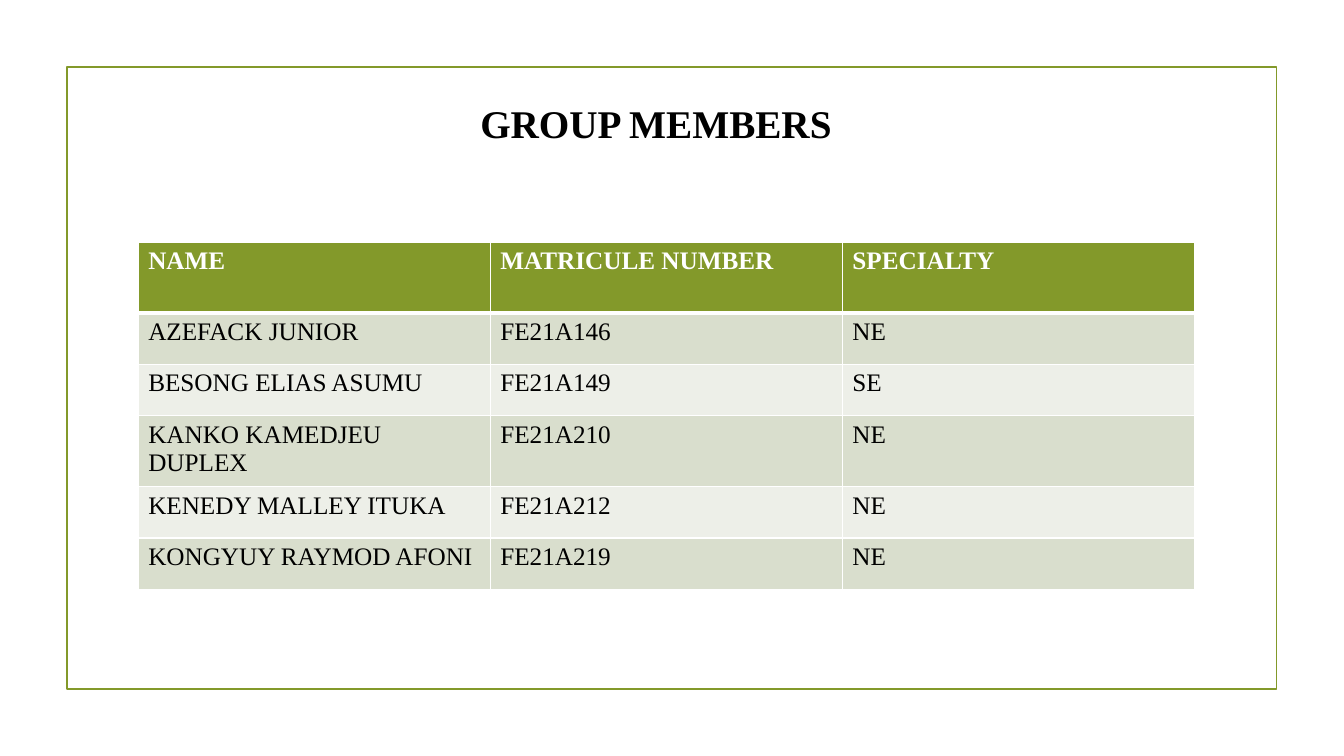
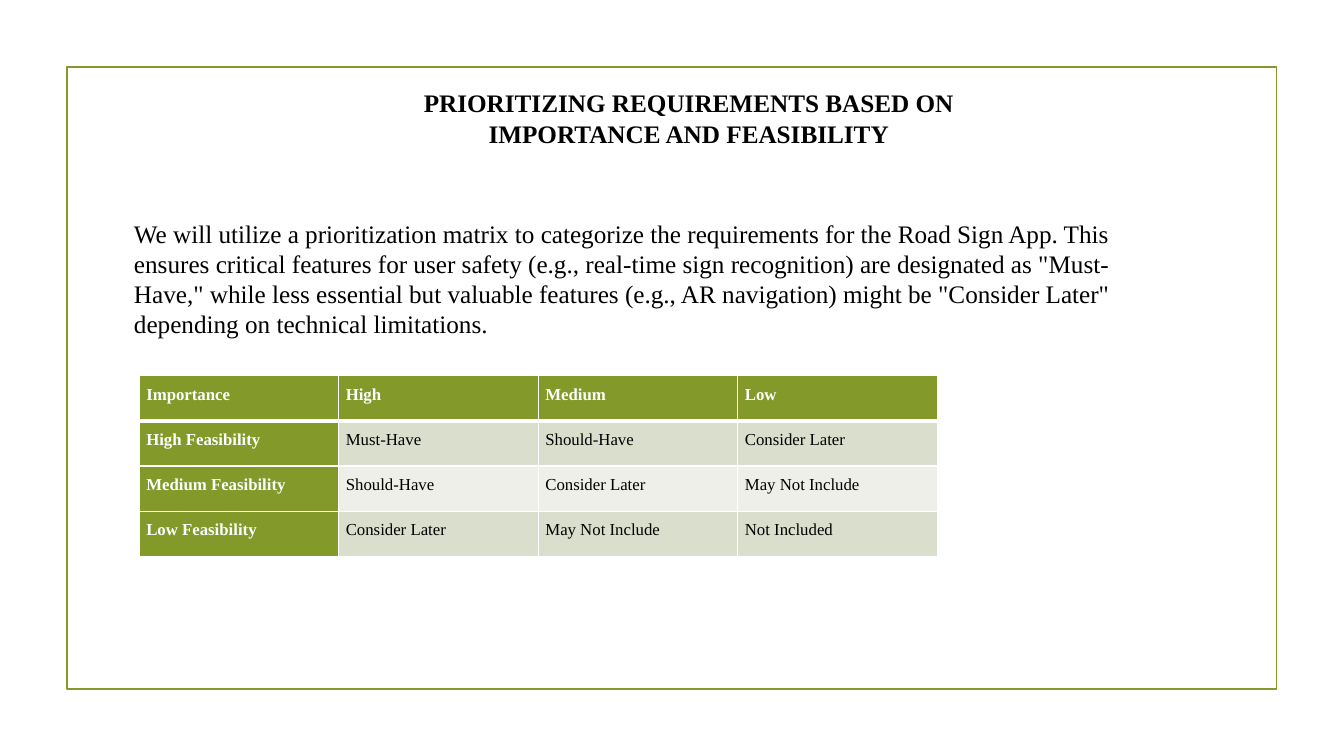
from lxml import etree
from pptx import Presentation
from pptx.dml.color import RGBColor
from pptx.enum.shapes import MSO_SHAPE
from pptx.enum.text import MSO_ANCHOR, MSO_AUTO_SIZE, PP_ALIGN
from pptx.oxml.ns import qn
from pptx.util import Pt

RECTANGLE = MSO_SHAPE.RECTANGLE
TOP = MSO_ANCHOR.TOP
NO_AUTOSIZE = MSO_AUTO_SIZE.NONE
LEFT, CENTER, JUSTIFY = PP_ALIGN.LEFT, PP_ALIGN.CENTER, PP_ALIGN.JUSTIFY

FONT = "Times New Roman"
GREEN = RGBColor(0x83, 0x99, 0x2A)
BAND_DARK = RGBColor(0xD9, 0xDE, 0xCD)
BAND_LIGHT = RGBColor(0xED, 0xEF, 0xE8)
BLACK = RGBColor(0, 0, 0)
WHITE = RGBColor(0xFF, 0xFF, 0xFF)

SLIDE_SIZE = (960, 540)
FRAME_AREA = (47.8, 48, 864, 444)
TITLE_ONLY, TITLE_AND_CONTENT = 5, 1

MEMBERS_TITLE = "GROUP MEMBERS"
MEMBERS = [
    ("NAME", "MATRICULE NUMBER", "SPECIALTY"),
    ("AZEFACK JUNIOR", "FE21A146", "NE"),
    ("BESONG ELIAS ASUMU", "FE21A149", "SE"),
    ("KANKO KAMEDJEU DUPLEX", "FE21A210", "NE"),
    ("KENEDY MALLEY ITUKA", "FE21A212", "NE"),
    ("KONGYUY RAYMOD AFONI", "FE21A219", "NE"),
]
MEMBER_ROW_HEIGHTS = (50.5, 36.7, 36.7, 50.8, 36.7, 36.7)

PRIORITY_TITLE = "PRIORITIZING REQUIREMENTS BASED ON IMPORTANCE AND FEASIBILITY"
PRIORITY_TEXT = (
    "We will utilize a prioritization matrix to categorize the requirements "
    "for the Road Sign App. This ensures critical features for user safety "
    "(e.g., real-time sign recognition) are designated as \"Must-Have,\" while "
    "less essential but valuable features (e.g., AR navigation) might be "
    "\"Consider Later\" depending on technical limitations."
)
PRIORITIES = [
    ("Importance", "High", "Medium", "Low"),
    ("High Feasibility", "Must-Have", "Should-Have", "Consider Later"),
    ("Medium Feasibility", "Should-Have", "Consider Later", "May Not Include"),
    ("Low Feasibility", "Consider Later", "May Not Include", "Not Included"),
]
PRIORITY_ROW_HEIGHTS = (32.25,) * len(PRIORITIES)


def points(values):
    return [Pt(value) for value in values]


def write(text_frame, text, size=18, bold=False, color=BLACK, align=LEFT, spacing=1.0):
    para = text_frame.paragraphs[0]
    para.alignment = align
    para.line_spacing = spacing
    para.space_before = Pt(0)
    span = para.add_run()
    span.text = text
    span.font.name = FONT
    span.font.size = Pt(size)
    span.font.bold = bold
    span.font.color.rgb = color
    return para


def fill_placeholder(box, area, text, **text_format):
    box.left, box.top, box.width, box.height = points(area)
    text_frame = box.text_frame
    text_frame.word_wrap = True
    text_frame.auto_size = NO_AUTOSIZE
    text_frame.vertical_anchor = TOP
    return write(text_frame, text, **text_format)


def add_frame(page):
    """Draw the green frame behind everything else on the page."""
    frame = page.shapes.add_shape(RECTANGLE, *points(FRAME_AREA))
    frame.shadow.inherit = False
    frame.fill.background()
    frame.line.color.rgb = GREEN
    frame.line.width = Pt(1.25)
    page.shapes.element.insert(2, frame.element)


def add_page(deck, layout, title, area, size):
    page = deck.slides.add_slide(deck.slide_layouts[layout])
    add_frame(page)
    fill_placeholder(page.shapes.title, area, title, size=size, bold=True, align=CENTER)
    return page


def remove_bullet(para):
    properties = para._p.get_or_add_pPr()
    properties.set("marL", "0")
    properties.set("indent", "0")
    etree.SubElement(properties, qn("a:buNone"))


def set_borders(cell, widths):
    """Draw white borders; widths maps the sides L, R, T, B to points."""
    properties = cell._tc.get_or_add_tcPr()
    for position, (side, width) in enumerate(widths.items()):
        line = etree.Element(qn(f"a:ln{side}"), w=str(Pt(width)))
        fill = etree.SubElement(line, qn("a:solidFill"))
        etree.SubElement(fill, qn("a:srgbClr"), val=str(WHITE))
        properties.insert(position, line)


def add_grid(page, rows, area, row_heights, header_column=False, margins=None, **text_format):
    """Add a banded table; margins are the side and the top/bottom inset of a cell."""
    left, top, width = area
    columns = len(rows[0])
    table = page.shapes.add_table(
        len(rows), columns, *points((left, top, width, sum(row_heights)))
    ).table
    table.first_col = header_column
    for column in table.columns:
        column.width = Pt(width / columns)
    for r, (texts, height) in enumerate(zip(rows, row_heights)):
        table.rows[r].height = Pt(height)
        band = BAND_DARK if r % 2 else BAND_LIGHT
        for c, text in enumerate(texts):
            cell = table.cell(r, c)
            heading = r == 0 or (header_column and c == 0)
            if margins:
                cell.margin_left = cell.margin_right = Pt(margins[0])
                cell.margin_top = cell.margin_bottom = Pt(margins[1])
            cell.fill.solid()
            cell.fill.fore_color.rgb = GREEN if heading else band
            set_borders(cell, {"L": 1, "R": 1, "T": 3 if r == 1 else 1, "B": 1 if r else 3})
            write(cell.text_frame, text, bold=heading,
                  color=WHITE if heading else BLACK, **text_format)


def main():
    deck = Presentation()
    deck.slide_width, deck.slide_height = points(SLIDE_SIZE)

    members = add_page(deck, TITLE_ONLY, MEMBERS_TITLE, (163.5, 67, 610, 41), 28)
    add_grid(members, MEMBERS, (98.7, 173, 754.5), MEMBER_ROW_HEIGHTS)

    priorities = add_page(deck, TITLE_AND_CONTENT, PRIORITY_TITLE, (288, 59, 408, 73), 18)
    body = priorities.placeholders[1]
    remove_bullet(fill_placeholder(body, (88.5, 152, 747, 116.5), PRIORITY_TEXT))
    add_grid(priorities, PRIORITIES, (99.5, 268.4, 570.2), PRIORITY_ROW_HEIGHTS,
             header_column=True, margins=(5, 0), size=12, align=JUSTIFY, spacing=1.5)

    deck.save("out.pptx")


if __name__ == "__main__":
    main()
